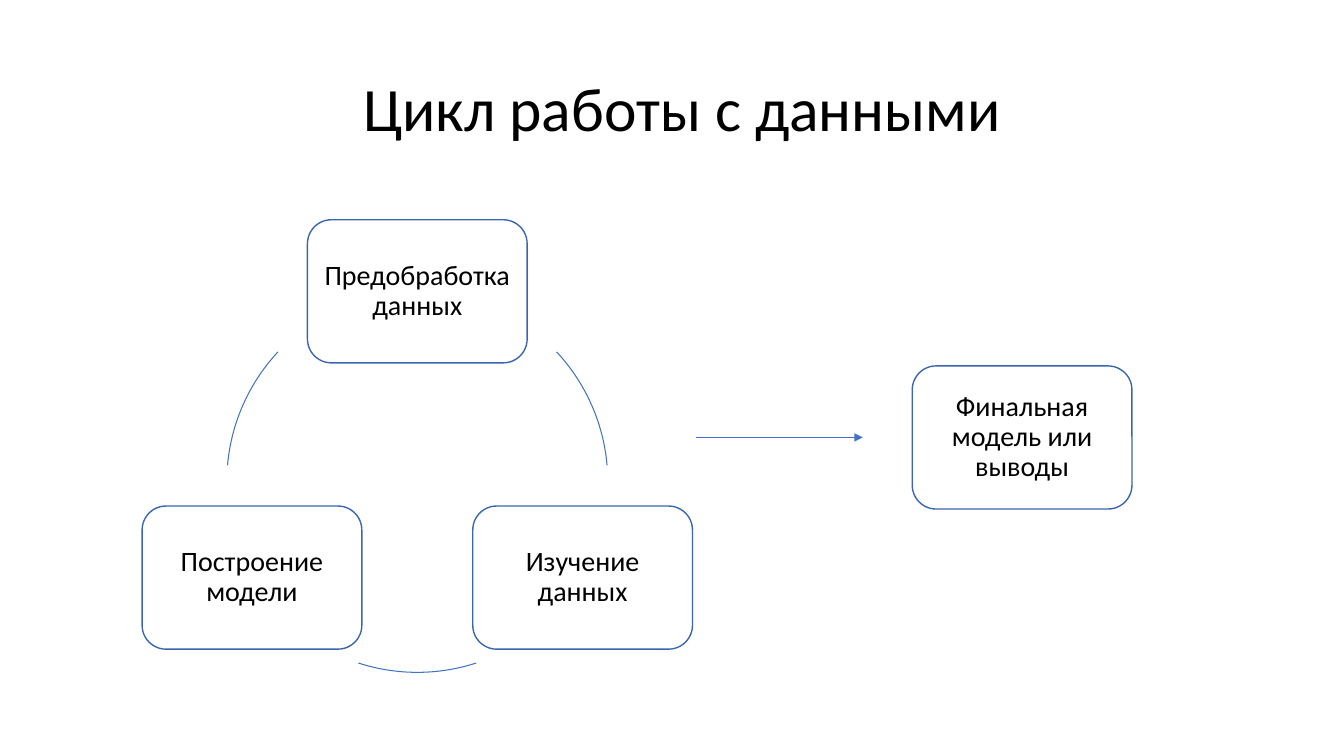
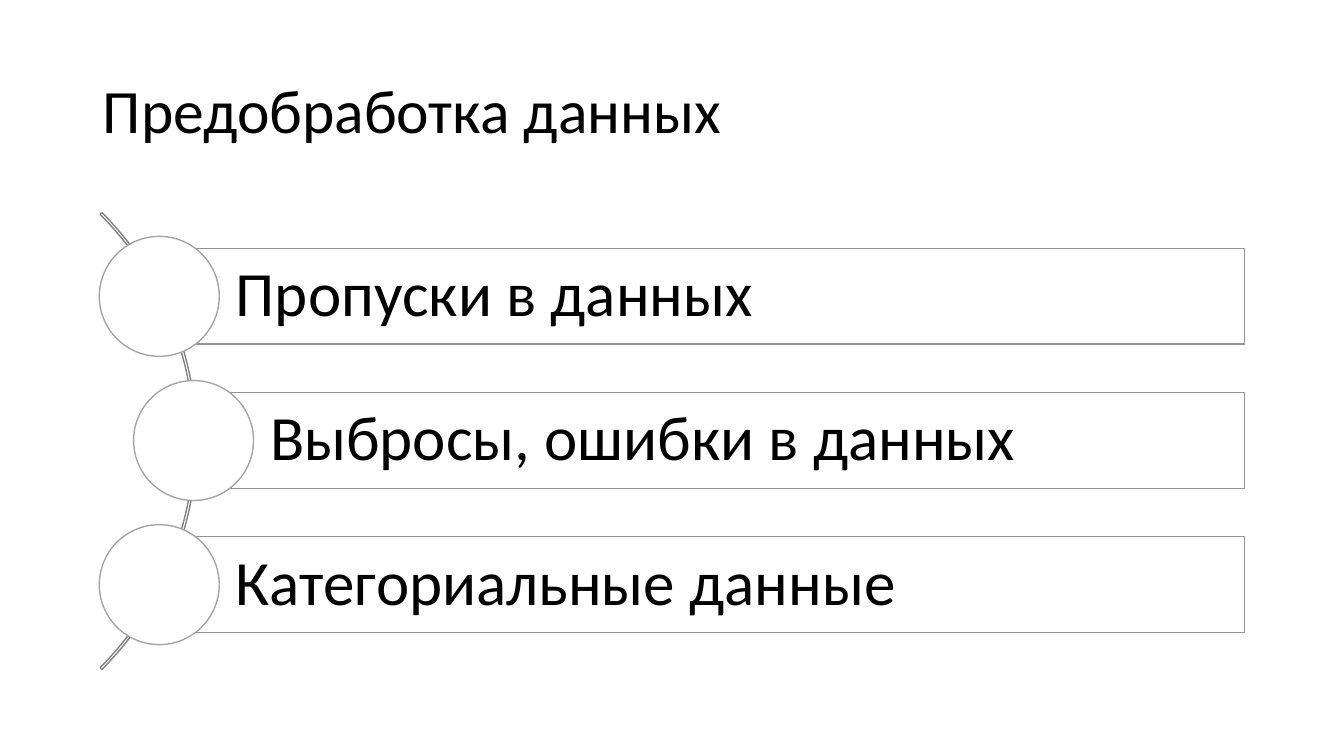
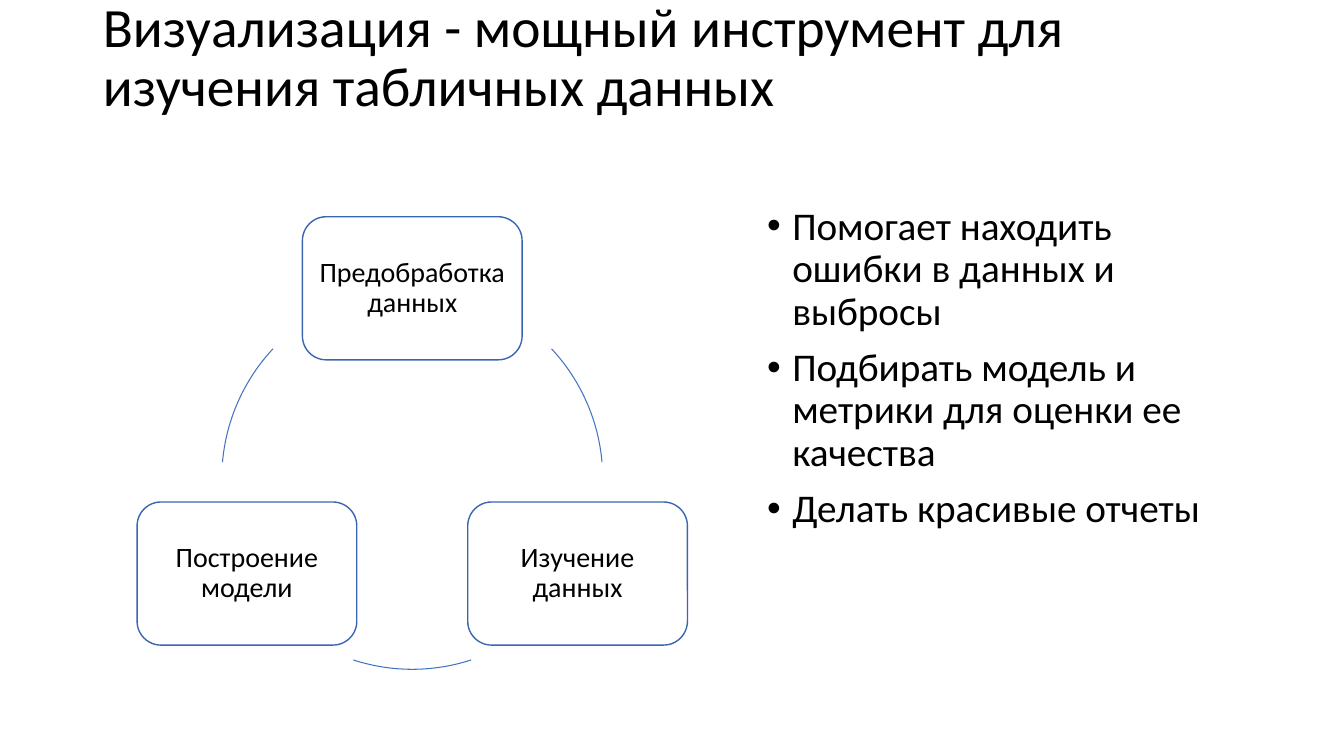
import math

import pptx
import pptx.dml.color
import pptx.enum.shapes
import pptx.enum.text
import pptx.oxml.ns
import pptx.util
from lxml import etree

RGB = pptx.dml.color.RGBColor
BLACK = RGB(0x00, 0x00, 0x00)
WHITE = RGB(0xFF, 0xFF, 0xFF)
NODE_BLUE = RGB(0x3A, 0x66, 0xB1)
ARC_BLUE = RGB(0x43, 0x72, 0xC3)
ARROW_BLUE = RGB(0x44, 0x72, 0xC4)
DARK_GREY = RGB(0x82, 0x82, 0x82)
MID_GREY = RGB(0x95, 0x95, 0x95)
LIGHT_GREY = RGB(0xA5, 0xA5, 0xA5)

SHAPE = pptx.enum.shapes.MSO_SHAPE
ALIGN = pptx.enum.text.PP_ALIGN
ANCHOR = pptx.enum.text.MSO_ANCHOR
NO_FIT = pptx.enum.text.MSO_AUTO_SIZE.NONE
qn = pptx.oxml.ns.qn

SCALE = 9144  # EMU in one px, 100 px to the inch
NODE_W, NODE_H = 218, 142
STEPS = ["Предобработка данных", "Изучение данных", "Построение модели"]
ARCS = [(317, 355), (72, 108), (185, 223)]


def px(num):
    return pptx.util.Emu(round(num * SCALE))


def assign(item, style):
    for name, value in style.items():
        setattr(item, name, value)


def place(item, box):
    assign(item, dict(zip(("left", "top", "width", "height"), map(px, box))))


def write(shape, lines, size, pad, align=ALIGN.LEFT, anchor=ANCHOR.MIDDLE):
    """Fill a shape with paragraphs; pad is left, top, right, bottom."""
    frame = shape.text_frame
    frame.text = "\n".join(lines)
    sides = ("margin_left", "margin_top", "margin_right", "margin_bottom")
    assign(frame, dict(zip(sides, map(px, pad))))
    assign(frame, {"word_wrap": True, "auto_size": NO_FIT, "vertical_anchor": anchor})
    for para in frame.paragraphs:
        assign(para, {"alignment": align, "line_spacing": 0.9,
                      "space_before": pptx.util.Pt(0)})
        for run in para.runs:
            assign(run.font, {"name": "Calibri", "size": pptx.util.Pt(size)})
            run.font.color.rgb = BLACK


def draw(slide, kind, box, color, fill=WHITE, width=1):
    shape = slide.shapes.add_shape(kind, *map(px, box))
    shape.shadow.inherit = False
    if fill is None:
        shape.fill.background()
    else:
        shape.fill.solid()
        shape.fill.fore_color.rgb = fill
    shape.line.color.rgb = color
    shape.line.width = pptx.util.Pt(width)
    return shape


def tune(shape, values):
    for index, value in enumerate(values):
        shape.adjustments[index] = value


def turn(angle):
    """Degrees as an adjustment value."""
    return angle * 0.6


def head(slide, text, left, top, size=44, align=ALIGN.LEFT):
    title = slide.shapes.title
    place(title, (left, top, 1150, 145))
    write(title, [text], size, (10, 5, 10, 5), align)
    for mark in title.text_frame._txBody.iter(qn("a:br")):
        etree.SubElement(mark, qn("a:rPr"), sz=str(round(size * 100)))


def node(slide, text, left, top):
    shape = draw(slide, SHAPE.ROUNDED_RECTANGLE, (left, top, NODE_W, NODE_H), NODE_BLUE)
    tune(shape, [0.167])
    write(shape, [text], 20, (8, 8, 8, 8), ALIGN.CENTER)


def cycle(slide, left, top, size=378):
    """Three nodes and three arcs on a ring set in the given square."""
    radius = size / 2
    for index, (text, arc) in enumerate(zip(STEPS, ARCS)):
        angle = math.radians(120 * index - 90)
        node(slide, text,
             round(left + radius + radius * math.cos(angle) - NODE_W / 2),
             round(top + radius + radius * math.sin(angle) - NODE_H / 2))
        curve = draw(slide, SHAPE.ARC, (left, top, size, size), ARC_BLUE, None, 0.75)
        tune(curve, map(turn, arc))


def arrow(slide, start, end):
    kind = pptx.enum.shapes.MSO_CONNECTOR.STRAIGHT
    line = slide.shapes.add_connector(kind, *map(px, start + end))
    line.line.color.rgb = ARROW_BLUE
    line.line.width = pptx.util.Pt(0.75)
    etree.SubElement(line.line._get_or_add_ln(), qn("a:tailEnd"), type="triangle")
    etree.SubElement(line._element.spPr, qn("a:effectLst"))


def curved(slide, rows, left, top, size=641):
    """Rows whose round ends sit on a thin arc of the given square."""
    band = draw(slide, SHAPE.BLOCK_ARC, (left, top, size, size), DARK_GREY, None)
    tune(band, (turn(315), turn(45), 0.004))
    mid_x, mid_y = left + size // 2, top + size // 2
    right, height, pitch, dot, reach = 1235, 95, 143, 119, 318
    for index, text in enumerate(rows):
        shift = (index - (len(rows) - 1) / 2) * pitch
        x, y = mid_x + round(math.sqrt(reach ** 2 - shift ** 2)), mid_y + shift
        bar = draw(slide, SHAPE.RECTANGLE,
                   (x, y - height / 2, right - x, height), MID_GREY)
        write(bar, [text], 45, (76, 12, 12, 12))
        draw(slide, SHAPE.OVAL, (x - dot / 2, y - dot / 2, dot, dot), LIGHT_GREY)


def points(slide, lines, box):
    body = slide.placeholders[1]
    place(body, box)
    write(body, lines, 28, (10, 5, 10, 5), anchor=ANCHOR.TOP)
    for index, para in enumerate(body.text_frame.paragraphs):
        para.space_before = pptx.util.Pt(10 if index else 0)
        props = para._p.get_or_add_pPr()
        props.set("marL", str(px(25)))
        props.set("indent", str(px(-25)))
        etree.SubElement(props, qn("a:buFont"), typeface="Arial")
        etree.SubElement(props, qn("a:buChar"), char="•")


def main():
    deck = pptx.Presentation()
    assign(deck, {"slide_width": pptx.util.Emu(12192000), "slide_height": px(750)})
    plain, listed = deck.slide_layouts[5], deck.slide_layouts[1]

    slide = deck.slides.add_slide(plain)
    head(slide, "Цикл работы с данными", 102, 38, align=ALIGN.CENTER)
    cycle(slide, 225, 289)
    arrow(slide, (690, 434), (856, 434))
    node(slide, "Финальная модель или выводы", 905, 363)

    slide = deck.slides.add_slide(plain)
    head(slide, "Предобработка данных", 92, 40)
    curved(slide, ["Пропуски в данных", "Выбросы, ошибки в данных",
                   "Категориальные данные"], -446, 117)

    slide = deck.slides.add_slide(listed)
    head(slide, "Визуализация - мощный инструмент для изучения табличных данных\v",
         92, 19, 39.6)
    points(slide, ["Помогает находить ошибки в данных и выбросы",
                   "Подбирать модель и метрики для оценки ее качества",
                   "Делать красивые отчеты"], (751, 200, 491, 476))
    cycle(slide, 220, 286)

    deck.save("out.pptx")


if __name__ == "__main__":
    main()
